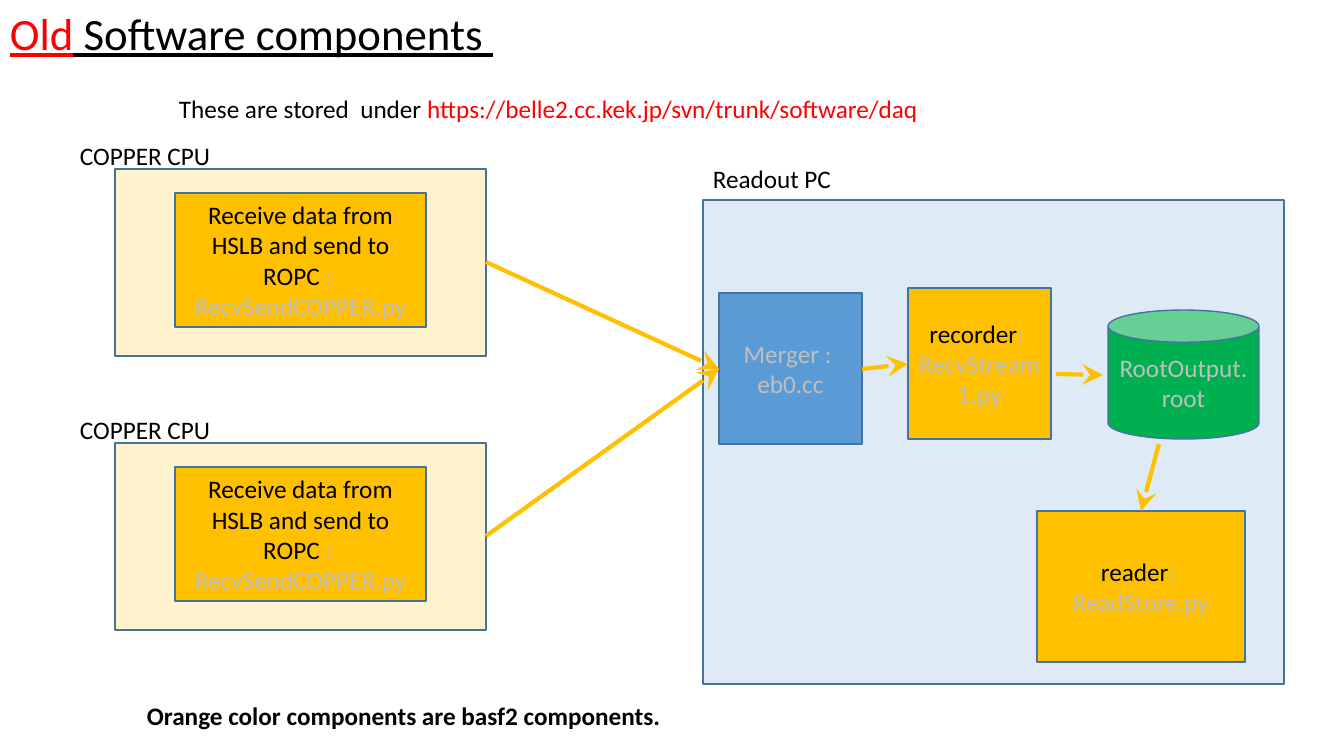
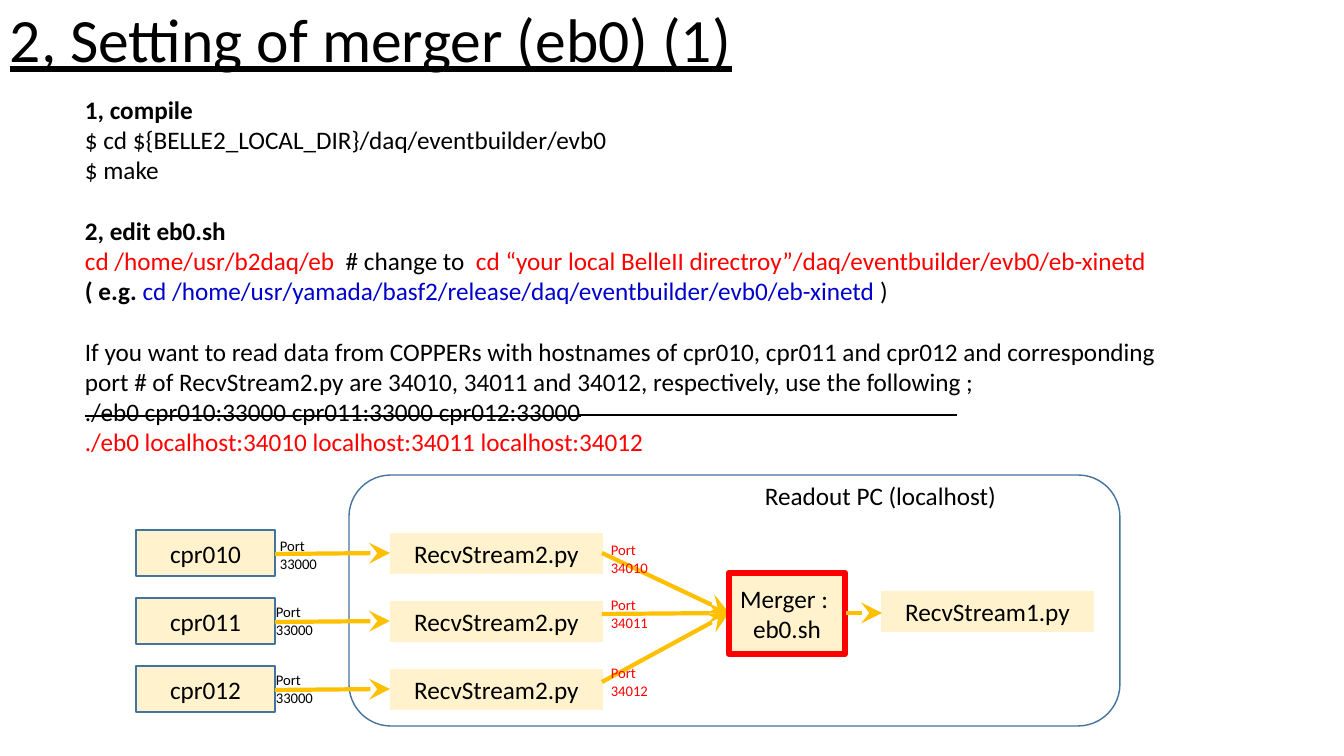
import pptx
import pptx.dml.color
import pptx.enum.shapes
import pptx.enum.text
import pptx.oxml
import pptx.oxml.ns
import pptx.util

SCALE = 914400 / 100.8
WIDTH, HEIGHT = 1344, 756
FONT = "Calibri"
BLACK, WHITE, GREY, RED, BLUE = "000000", "FFFFFF", "BFBFBF", "FF0000", "0000CC"
EDGE, ORANGE, CREAM = "43739E", "FFC000", "FFF2CC"
PALE_BLUE, MID_BLUE, GREEN = "DEEBF7", "5B9BD5", "00B050"
BLANK_LINE = 21.6
SHAPES = pptx.enum.shapes.MSO_SHAPE
ANCHOR = pptx.enum.text.MSO_ANCHOR
ALIGN = pptx.enum.text.PP_ALIGN
AUTO = pptx.enum.text.MSO_AUTO_SIZE


def px(length):
    """Turn pixels into EMU."""
    return pptx.util.Emu(round(length * SCALE))


def color(value):
    """Turn a hex string into a colour."""
    return pptx.dml.color.RGBColor.from_string(value)


def apply(target, values):
    """Set each attribute in values on the target."""
    for name, value in values.items():
        setattr(target, name, value)


def write(frame, paras, size=18, ink=BLACK, para_format=None):
    """Fill a frame; each paragraph is a string or a list of (text, format) runs."""
    for index, runs in enumerate(paras):
        para = frame.paragraphs[0] if index == 0 else frame.add_paragraph()
        apply(para, para_format or {})
        if isinstance(runs, str):
            runs = [(runs, {})]
        for text, look in runs:
            span = para.add_run()
            span.text = text
            values = {"name": FONT, "size": pptx.util.Pt(size), **look}
            span.font.color.rgb = color(values.pop("ink", ink))
            if values.pop("strike", False):
                span._r.get_or_add_rPr().set("strike", "sngStrike")
            apply(span.font, values)


def add_text(page, box, paras, wrap=False, anchor=ANCHOR.TOP, **style):
    """Place a text box, which grows with its text unless it wraps."""
    frame = page.shapes.add_textbox(*map(px, box)).text_frame
    apply(frame, {
        "word_wrap": wrap,
        "vertical_anchor": anchor,
        "auto_size": AUTO.NONE if wrap else AUTO.SHAPE_TO_FIT_TEXT,
    })
    write(frame, paras, **style)
    return frame


def add_block(page, box, fill=None, paras=(), edge=EDGE, weight=1,
              kind=SHAPES.RECTANGLE, ink=BLACK):
    """Place a preset shape with centred text."""
    shape = page.shapes.add_shape(kind, *map(px, box))
    shape.shadow.inherit = False
    if fill:
        shape.fill.solid()
        shape.fill.fore_color.rgb = color(fill)
    else:
        shape.fill.background()
    if edge:
        shape.line.color.rgb = color(edge)
        shape.line.width = pptx.util.Pt(weight)
    else:
        shape.line.fill.background()
    apply(shape.text_frame, {"word_wrap": True, "vertical_anchor": ANCHOR.MIDDLE})
    write(shape.text_frame, paras, ink=ink, para_format={"alignment": ALIGN.CENTER})


def add_line(page, start, end, ink=ORANGE, weight=3, arrow=True):
    """Draw a straight line, with an arrowhead at its end if wanted."""
    line = page.shapes.add_connector(
        pptx.enum.shapes.MSO_CONNECTOR.STRAIGHT, *map(px, (*start, *end)))
    line.line.color.rgb = color(ink)
    line.line.width = pptx.util.Pt(weight)
    if arrow:
        head = pptx.oxml.parse_xml(
            '<a:tailEnd %s type="stealth" w="lg" len="lg"/>'
            % pptx.oxml.ns.nsdecls("a"))
        line.line._get_or_add_ln().append(head)
    line._element.spPr.append(
        pptx.oxml.parse_xml("<a:effectLst %s/>" % pptx.oxml.ns.nsdecls("a")))


def add_title(page, box, runs, size, spacing=1.0):
    """Place an underlined title."""
    underlined = [(text, {"underline": True, "ink": ink}) for text, ink in runs]
    add_text(page, box, [underlined], wrap=True, anchor=ANCHOR.MIDDLE, size=size,
             para_format={"line_spacing": spacing})


def new_page(deck):
    """Add a blank white slide."""
    page = deck.slides.add_slide(deck.slide_layouts[6])
    page.background.fill.solid()
    page.background.fill.fore_color.rgb = color(WHITE)
    return page


def script_label(role, script):
    """Name a component in black and its script in grey."""
    return [[(role, {}), (": ", {"ink": GREY})], [(script, {"ink": GREY})]]


def copper_cpu(page, box):
    """Draw one COPPER CPU with its sender."""
    left, top, width, height = box
    add_block(page, box, CREAM)
    add_text(page, (left - 45, top - 34, 151, 40), ["COPPER CPU"])
    add_block(page, (left + 60, top + 24, 251, 134), ORANGE,
              script_label("Receive data from HSLB and send to ROPC ",
                           "RecvSendCOPPER.py"))
    return left + width, top + height // 2


def readout_pc(page, box):
    """Draw the readout PC and its chain; return the point where data enters."""
    left, top, width, height = box
    add_block(page, box, PALE_BLUE)
    add_text(page, (left, top - 42, 140, 40), ["Readout PC"])
    add_block(page, (left + 16, top + 93, 143, 151), MID_BLUE,
              ["Merger : ", "eb0.cc"], ink=GREY)
    add_block(page, (left + 205, top + 88, 143, 151), ORANGE,
              script_label("recorder", "RecvStream1.py"))
    add_block(page, (left + 405, top + 110, 151, 129), GREEN,
              ["RootOutput.root"], kind=SHAPES.CAN, ink=GREY)
    add_block(page, (left + 334, top + 311, 208, 151), ORANGE,
              script_label("reader", "ReadStore.py"))
    for x1, y1, x2, y2 in ((159, 169, 205, 164), (353, 174, 400, 175),
                           (456, 244, 438, 311)):
        add_line(page, (left + x1, top + y1), (left + x2, top + y2))
    return left + 16, top + 169


def components_page(deck):
    """Build the slide of the old software components."""
    page = new_page(deck)
    add_title(page, (0, 0, 652, 65),
              [("Old", RED), (" Software components ", BLACK)], 32)
    add_text(page, (169, 88, 774, 40), [[
        ("These are stored  under ", {}),
        ("https://belle2.cc.kek.jp/svn/trunk/software/daq ", {"ink": RED})]])
    entry = readout_pc(page, (703, 200, 581, 484))
    for row in range(2):
        add_line(page, copper_cpu(page, (115, 169 + 274 * row, 371, 187)), entry)
    add_text(page, (137, 695, 537, 40), [[
        ("Orange color components are basf2 components.", {"bold": True})]])


def instructions(page, box):
    """Write the steps for compiling and editing."""
    bold, red = {"bold": True}, {"ink": RED}
    frame = add_text(page, box, [
        [("1, compile", bold)],
        "$ cd ${BELLE2_LOCAL_DIR}/daq/eventbuilder/evb0",
        "$ make",
        [("2, edit eb0.sh", bold)],
        [("cd /home/usr/b2daq/eb", red), ("  # change to  ", {}),
         ("cd “your local BelleII directroy”/daq/eventbuilder/evb0/eb-xinetd", red)],
        [("( e.g. ", bold),
         ("cd /home/usr/yamada/basf2/release/daq/eventbuilder/evb0/eb-xinetd ",
          {"ink": BLUE}), (")", {})],
        "If you want to read data from COPPERs with hostnames of cpr010, cpr011 "
        "and cpr012 and corresponding port # of RecvStream2.py are 34010, 34011 "
        "and 34012, respectively, use the following ;",
        [("./eb0 cpr010:33000 cpr011:33000 cpr012:33000", {"strike": True})],
        [("./eb0 localhost:34010 localhost:34011 localhost:34012 ", red)],
    ], wrap=True)
    for section_start in (3, 6):
        frame.paragraphs[section_start].space_before = pptx.util.Pt(BLANK_LINE)
    left, top = box[:2]
    add_line(page, (left + 504, top + 326), (left + 882, top + 326),
             BLACK, 1.25, arrow=False)


def port_label(page, left, top, port, ink):
    """Write a small port number."""
    add_text(page, (left, top, 58, 45), ["Port", port], size=10.5, ink=ink)


def merger_diagram(page, box):
    """Draw three hosts feeding the merger on the readout PC."""
    left, top, width, height = box
    add_block(page, (left + 213, top, width - 213, height),
              kind=SHAPES.ROUNDED_RECTANGLE)
    add_text(page, (left + 619, top, 254, 40), ["Readout PC (localhost)"])
    merger = left + 593, top + 138
    rows = (("cpr010", "34010", 134, 57, 61, 78),
            ("cpr011", "34011", 130, 123, 116, 139),
            ("cpr012", "34012", 130, 191, 184, 207))
    for row, (host, port, in_left, in_top, out_top, out_start) in enumerate(rows):
        middle = top + 78 + 68 * row
        add_block(page, (left, middle - 23, 139, 46), CREAM, [host])
        add_block(page, (left + 254, middle - 20, 213, 41), CREAM,
                  ["RecvStream2.py"], edge=None)
        add_line(page, (left + 139, middle + 1), (left + 254, middle))
        add_line(page, (left + 466, top + out_start), merger)
        port_label(page, left + in_left, top + in_top, "33000", BLACK)
        port_label(page, left + 465, top + out_top, port, RED)
    add_block(page, (left + 593, top + 98, 116, 81), CREAM,
              ["Merger : ", "eb0.sh"], edge=RED, weight=4.5)
    add_block(page, (left + 745, top + 116, 213, 41), CREAM,
              ["RecvStream1.py"], edge=None)
    add_line(page, (left + 710, top + 138), (left + 746, top + 138))


def merger_page(deck):
    """Build the slide about setting the merger."""
    page = new_page(deck)
    add_title(page, (0, 0, 1159, 86),
              [("2, Setting of merger (eb0) (1)", BLACK)], 44, 0.9)
    instructions(page, (75, 89, 1110, 407))
    merger_diagram(page, (136, 475, 984, 251))


deck = pptx.Presentation()
apply(deck, {"slide_width": px(WIDTH), "slide_height": px(HEIGHT)})
components_page(deck)
merger_page(deck)
deck.save("out.pptx")
